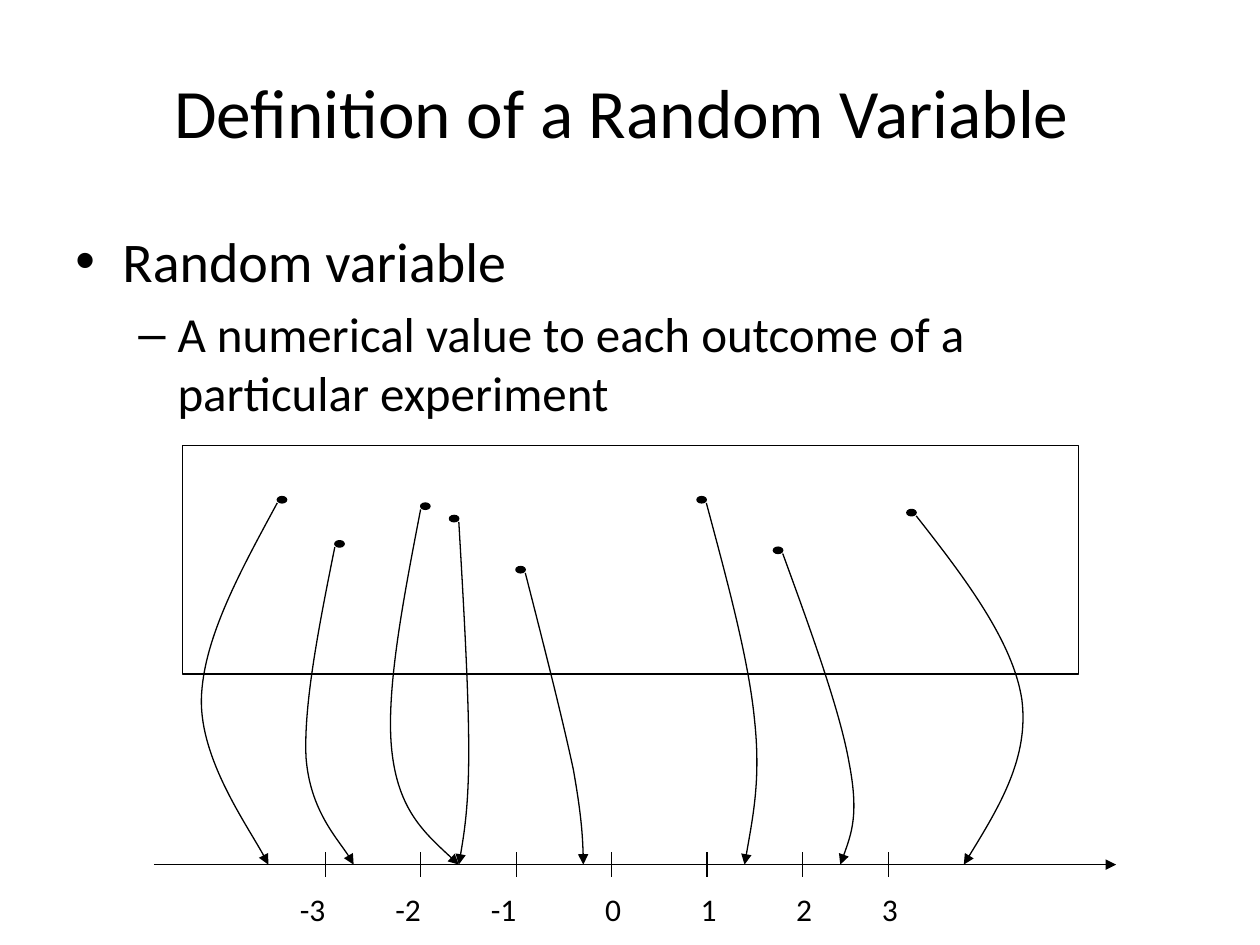
from dataclasses import dataclass

from lxml import etree
from pptx import Presentation
from pptx.dml.color import RGBColor
from pptx.enum.shapes import MSO_CONNECTOR, MSO_SHAPE
from pptx.enum.text import MSO_ANCHOR, PP_ALIGN
from pptx.oxml.ns import qn
from pptx.util import Cm, Pt

LINE = MSO_CONNECTOR.STRAIGHT
RECT, OVAL = MSO_SHAPE.RECTANGLE, MSO_SHAPE.OVAL
TOP, MIDDLE = MSO_ANCHOR.TOP, MSO_ANCHOR.MIDDLE
LEFT, CENTER = PP_ALIGN.LEFT, PP_ALIGN.CENTER

Point = tuple[float, float]


@dataclass(frozen=True)
class Theme:
    font: str = "Calibri"
    mark: str = "Arial"
    ink: RGBColor = RGBColor(0, 0, 0)
    title: float = 39.6
    head: float = 32
    sub: float = 28
    label: float = 18
    stroke: float = 0.75


@dataclass(frozen=True)
class Mapping:
    dot: Point
    right: bool
    bend: tuple[Point, ...]
    end: float


@dataclass(frozen=True)
class Tick:
    value: int
    x: float
    width: float


THEME = Theme()
AXIS = 17.43
DOT_W, DOT_H = 0.19, 0.13
WIDTHS = (1.35, 1.55, 1.35, 0.76, 0.58, 0.58)
TICKS = [Tick(n, 12.33 + 1.925 * n, w) for n, w in enumerate(WIDTHS, -3)]
TICKS.append(Tick(3, 17.91, 0.58))
MAPS = [
    Mapping((5.59, 10.01), False,
            ((4.85, 11.51), (4.09, 12.88), (4.06, 14.1), (4.04, 15.32), (5.16, 16.89)), 5.41),
    Mapping((6.75, 10.9), False,
            ((6.43, 12.62), (6.12, 14.2), (6.17, 15.27), (6.25, 16.33), (6.99, 17.12)), 7.13),
    Mapping((8.48, 10.14), False,
            ((8.13, 12.09), (7.77, 13.94), (7.9, 15.14), (8.03, 16.33), (8.64, 16.87)), 9.25),
    Mapping((9.06, 10.39), True,
            ((9.35, 12.24), (9.45, 13.97), (9.45, 15.14), (9.45, 16.28), (9.32, 17.04)), 9.25),
    Mapping((10.4, 11.42), True,
            ((10.97, 13.03), (11.35, 14.53), (11.56, 15.52), (11.73, 16.48), (11.76, 17.12)), 11.76),
    Mapping((14.05, 10.01), True,
            ((14.66, 11.71), (15.09, 13.28), (15.21, 14.5), (15.34, 15.7), (15.16, 16.56)), 15.01),
    Mapping((15.59, 11.03), True,
            ((16.36, 12.75), (16.94, 14.35), (17.12, 15.39), (17.32, 16.43), (17.12, 16.94)), 16.94),
    Mapping((18.28, 10.27), True,
            ((19.46, 11.66), (20.42, 12.93), (20.6, 14.1), (20.75, 15.27), (20.09, 16.36)), 19.43),
]


def add_box(slide, x: float, y: float, w: float, h: float, anchor=TOP):
    frame = slide.shapes.add_textbox(Cm(x), Cm(y), Cm(w), Cm(h)).text_frame
    frame.word_wrap = True
    frame.vertical_anchor = anchor
    return frame


def put_text(para, text: str, *, size: float, align=LEFT, before: float = 0,
             bullet: str = "", margin: float = 0, hang: float = 0) -> None:
    para.alignment = align
    if before:
        para.space_before = Pt(before)
    if bullet:
        props = para._p.get_or_add_pPr()
        props.set("marL", str(Cm(margin)))
        props.set("indent", str(-Cm(hang)))
        etree.SubElement(props, qn("a:buFont"), typeface=THEME.mark)
        etree.SubElement(props, qn("a:buChar"), char=bullet)
    run = para.add_run()
    run.text = text
    run.font.name = THEME.font
    run.font.size = Pt(size)
    run.font.color.rgb = THEME.ink


def set_line(shape, arrow: bool = False) -> None:
    shape.line.color.rgb = THEME.ink
    shape.line.width = Pt(THEME.stroke)
    if arrow:
        line = shape._element.spPr.find(qn("a:ln"))
        etree.SubElement(line, qn("a:tailEnd"), type="triangle")


def add_line(slide, start: Point, end: Point, arrow: bool = False) -> None:
    line = slide.shapes.add_connector(LINE, *(Cm(v) for v in start + end))
    set_line(line, arrow)
    etree.SubElement(line._element.spPr, qn("a:effectLst"))


def add_shape(slide, kind, x: float, y: float, w: float, h: float, solid: bool = False) -> None:
    shape = slide.shapes.add_shape(kind, Cm(x), Cm(y), Cm(w), Cm(h))
    shape.shadow.inherit = False
    if solid:
        shape.fill.solid()
        shape.fill.fore_color.rgb = THEME.ink
    else:
        shape.fill.background()
    set_line(shape)


def add_curve(slide, knots: list[Point]) -> None:
    spots = [(Cm(x), Cm(y)) for x, y in knots]
    build = slide.shapes.build_freeform(*spots[0])
    build.add_line_segments(spots[3::3], close=False)
    shape = build.convert_to_shape()
    for i, part in enumerate(list(shape._element.iter(qn("a:lnTo")))):
        curve = etree.Element(qn("a:cubicBezTo"))
        for x, y in spots[3 * i + 1:3 * i + 4]:
            etree.SubElement(curve, qn("a:pt"), x=str(x - shape.left), y=str(y - shape.top))
        part.getparent().replace(part, curve)
    shape.shadow.inherit = False
    shape.fill.background()
    set_line(shape, arrow=True)


def add_map(slide, item: Mapping) -> None:
    x, y = item.dot
    add_shape(slide, OVAL, x, y, DOT_W, DOT_H, solid=True)
    start = (x + DOT_W * item.right, y + DOT_H)
    add_curve(slide, [start, *item.bend, (item.end, AXIS)])


def add_tick(slide, tick: Tick) -> None:
    add_line(slide, (tick.x, AXIS - 0.25), (tick.x, AXIS + 0.25))
    shift = 0.76 if tick.value < 0 else 0.38
    frame = add_box(slide, tick.x - shift, 17.81, tick.width, 1.02)
    put_text(frame.paragraphs[0], str(tick.value), size=THEME.label)


def main() -> None:
    deck = Presentation()
    deck.slide_width, deck.slide_height = Cm(25.4), Cm(19.05)
    slide = deck.slides.add_slide(deck.slide_layouts[6])

    title = add_box(slide, 2.59, 0.27, 19.89, 3.94, MIDDLE)
    put_text(title.paragraphs[0], "Definition of a Random Variable",
             size=THEME.title, align=CENTER)
    body = add_box(slide, 1.27, 4.45, 22.23, 12.57)
    put_text(body.paragraphs[0], "Random variable", size=THEME.head,
             bullet="•", margin=0.95, hang=0.95)
    put_text(body.add_paragraph(),
             "A numerical value to each outcome of a particular experiment",
             size=THEME.sub, before=5.6, bullet="–", margin=2.06, hang=0.79)

    add_shape(slide, RECT, 3.68, 8.98, 18.06, 4.61)
    add_line(slide, (3.1, AXIS), (22.5, AXIS), arrow=True)
    for tick in TICKS:
        add_tick(slide, tick)
    for item in MAPS:
        add_map(slide, item)
    deck.save("out.pptx")


if __name__ == "__main__":
    main()
